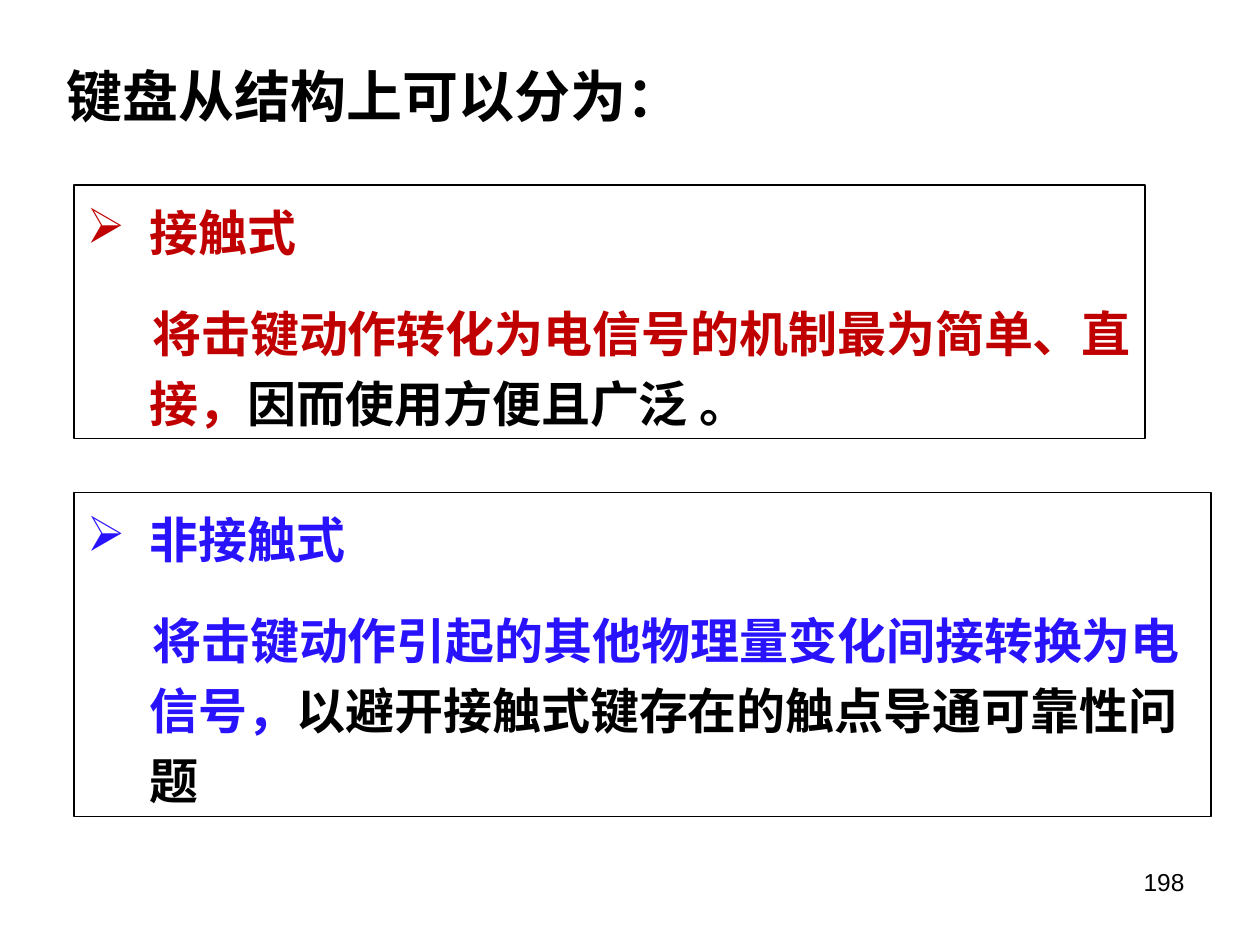
import pptx
import pptx.dml.color
import pptx.enum.shapes
import pptx.enum.text
import pptx.oxml.ns
import pptx.util
from lxml import etree

Inches = pptx.util.Inches
Pt = pptx.util.Pt
RGBColor = pptx.dml.color.RGBColor
qn = pptx.oxml.ns.qn

BLACK = RGBColor(0x00, 0x00, 0x00)
RED = RGBColor(0xC0, 0x00, 0x00)
BLUE = RGBColor(0x29, 0x13, 0xFD)
CJK_FONT = "Noto Sans CJK SC"

TITLE = "键盘从结构上可以分为："
PAGE_NUMBER = "198"
KEYBOARD_TYPES = [
    {
        "box": (0.59, 1.47, 8.5, 2.01),
        "color": RED,
        "name": "接触式",
        "body": [
            ("将击键动作转化为电信号的机制最为简单、直接，", RED, CJK_FONT),
            ("因而使用方便且广泛", BLACK, CJK_FONT),
            (" 。", BLACK, "Times New Roman"),
        ],
    },
    {
        "box": (0.59, 3.91, 9.02, 2.57),
        "color": BLUE,
        "name": "非接触式",
        "body": [
            ("将击键动作引起的其他物理量变化间接转换为电信号，", BLUE, CJK_FONT),
            ("以避开接触式键存在的触点导通可靠性问题", BLACK, CJK_FONT),
        ],
    },
]


def format_run(run, size, color, latin_font=CJK_FONT, bold=True):
    run.font.size = Pt(size)
    run.font.bold = bold
    run.font.color.rgb = color
    run.font.name = latin_font
    east_asian = etree.SubElement(run.font._element, qn("a:ea"))
    east_asian.set("typeface", CJK_FONT)


def set_indent(paragraph, left, first_line):
    properties = paragraph._p.get_or_add_pPr()
    properties.set("marL", str(Inches(left)))
    properties.set("indent", str(Inches(first_line)))
    return properties


def add_bullet(properties, color):
    bullet_color = etree.SubElement(properties, qn("a:buClr"))
    etree.SubElement(bullet_color, qn("a:srgbClr")).set("val", str(color))
    etree.SubElement(properties, qn("a:buChar")).set("char", "➢")


def prepare_frame(text_frame):
    text_frame.word_wrap = True
    text_frame.auto_size = pptx.enum.text.MSO_AUTO_SIZE.NONE
    text_frame.vertical_anchor = pptx.enum.text.MSO_ANCHOR.TOP


def add_type_box(slide, keyboard_type):
    shape = slide.shapes.add_shape(
        pptx.enum.shapes.MSO_SHAPE.RECTANGLE, *map(Inches, keyboard_type["box"])
    )
    shape.shadow.inherit = False
    shape.fill.background()
    shape.line.color.rgb = BLACK
    shape.line.width = Pt(1)
    text_frame = shape.text_frame
    prepare_frame(text_frame)

    heading = text_frame.paragraphs[0]
    heading.text = keyboard_type["name"]
    add_bullet(set_indent(heading, 0.5, -0.5), keyboard_type["color"])
    format_run(heading.runs[0], 28, keyboard_type["color"])

    body = text_frame.add_paragraph()
    set_indent(body, 0.5, 0.02)
    body.space_before = Pt(17.5)
    for text, color, latin_font in keyboard_type["body"]:
        run = body.add_run()
        run.text = text
        format_run(run, 28, color, latin_font)

    for paragraph in text_frame.paragraphs:
        paragraph.alignment = pptx.enum.text.PP_ALIGN.LEFT
        paragraph.line_spacing = Pt(40)


def main():
    presentation = pptx.Presentation()
    presentation.slide_width = Inches(10)
    presentation.slide_height = Inches(7.5)
    slide = presentation.slides.add_slide(presentation.slide_layouts[5])

    title = slide.shapes.title
    title.left, title.top, title.width, title.height = map(Inches, (0.43, 0.44, 5.92, 0.64))
    title.text_frame.text = TITLE
    prepare_frame(title.text_frame)
    title.text_frame.paragraphs[0].alignment = pptx.enum.text.PP_ALIGN.LEFT
    format_run(title.text_frame.paragraphs[0].runs[0], 32, BLACK)

    for keyboard_type in KEYBOARD_TYPES:
        add_type_box(slide, keyboard_type)

    number_box = slide.shapes.add_textbox(*map(Inches, (7.17, 6.83, 2.33, 0.52)))
    number_box.text_frame.text = PAGE_NUMBER
    prepare_frame(number_box.text_frame)
    number_paragraph = number_box.text_frame.paragraphs[0]
    number_paragraph.alignment = pptx.enum.text.PP_ALIGN.RIGHT
    format_run(number_paragraph.runs[0], 14, BLACK, "Arial", False)

    presentation.save("out.pptx")


if __name__ == "__main__":
    main()
